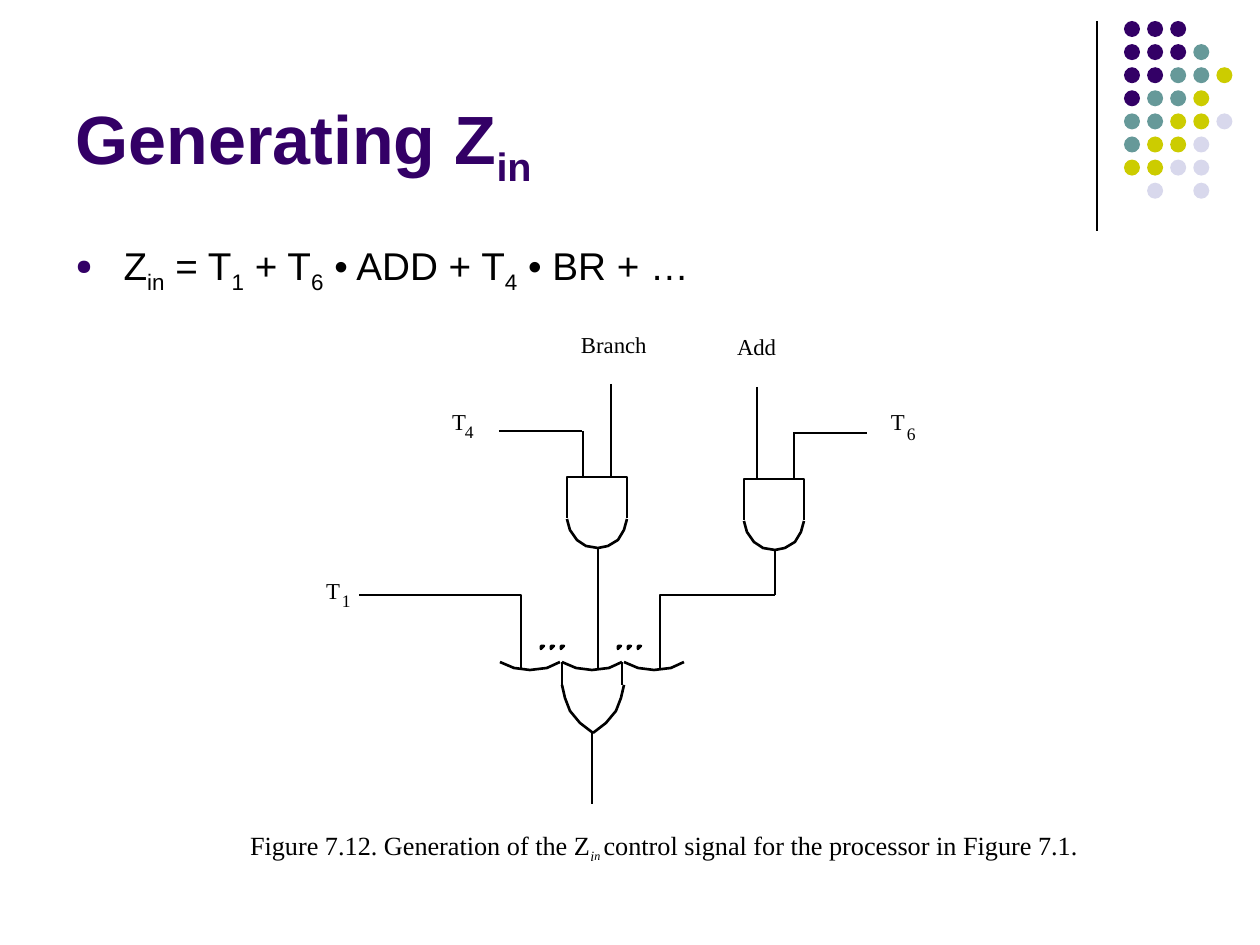
import pptx
import pptx.util
import pptx.dml.color
import pptx.enum.shapes
import pptx.enum.text
import pptx.oxml.ns
from lxml import etree

PX = 914400 // 126
COLORS = {"purple": "330066", "teal": "669999", "olive": "CCCC00",
          "lilac": "D8D8EC", "black": "000000"}

# Content: a run is (text, overrides)
SUB = {"base": -25}
TITLE = [("Generating Z", {}), ("in", SUB)]
FORMULA = [("Z", {}), ("in", SUB), (" = T", {}), ("1", SUB), (" + T", {}),
           ("6", SUB), (" • ADD + T", {}), ("4", SUB), (" • BR + …", {})]
CAPTION = [("Figure 7.12. Generation of the Z", {}),
           ("i", {"base": -25, "size": 14, "italic": True}),
           ("n ", {"base": -25, "size": 12, "italic": True}),
           ("control signal for the processor in Figure 7.1.", {})]
LABEL_SLACK = 6
LABELS = [  # text, left, top, width, height, size
    ("Branch", 581, 331, 66, 28, 13), ("Add", 737, 333, 39, 28, 13),
    ("T", 452, 408, 14, 28, 13), ("4", 465, 421, 9, 21, 10),
    ("T", 891, 408, 14, 28, 13), ("6", 907, 423, 9, 21, 10),
    ("T", 326, 577, 14, 28, 13), ("1", 342, 590, 9, 21, 10)]

# Corner dots, one letter a dot
DOT_ROWS = ["ppp", "pppt", "pptto", "ptto", "ttool", "tool", "ooll", " l l"]
DOT_COLORS = {"p": "purple", "t": "teal", "o": "olive", "l": "lilac"}
DOT_LEFT, DOT_TOP, DOT_PITCH, DOT_SIZE = 1124, 21, 23.1, 16

# Circuit
WIRES = [
    [(611, 384), (611, 477)], [(499, 431), (582, 431)], [(583, 431), (583, 477)],
    [(757, 387), (757, 480)], [(794, 480), (794, 433)], [(867, 433), (793, 433)],
    [(598, 670), (598, 549)], [(775, 595), (775, 549)],
    [(660, 670), (660, 595), (775, 595)], [(521, 670), (521, 595), (359, 595)],
    [(562, 662), (562, 685)], [(622, 662), (622, 685)], [(592, 804), (592, 733)]]
AND_GATES = [(567, 477), (744, 479)]
AND_BODY = [(0, 41), (0, 0), (60, 0), (60, 41)]
AND_ARC = [(0, 42), (3, 53), (10, 63), (19, 69), (31, 71), (41, 69),
           (51, 63), (57, 53), (60, 42)]
OR_CENTER = (593, 733)
OR_SIDE = [(31, -48), (28, -35), (23, -22), (13, -10), (0, 0)]
SCALLOPS = [(500, 662), (562, 662), (624, 662)]
SCALLOP = [(0, 0), (14, 6), (30, 8), (47, 6), (60, 0)]
ELLIPSES = [(541, 646), (618, 646)]
ELLIPSIS_DOT = [(0, 0), (0, 3), (3, 0), (0, 0)]

prs = pptx.Presentation()
prs.slide_width = pptx.util.Inches(10)
prs.slide_height = pptx.util.Inches(7.5)
s = prs.slides.add_slide(prs.slide_layouts[6])


def px(*values):
    return [round(v * PX) for v in values]


def rgb(name):
    return pptx.dml.color.RGBColor.from_string(COLORS[name])


def add_text(runs, box, size, font, color="black", bold=False, inset=(0, 0),
             anchor="TOP"):
    sp = s.shapes.add_textbox(*px(*box))
    tf = sp.text_frame
    tf.word_wrap = True
    tf.vertical_anchor = getattr(pptx.enum.text.MSO_ANCHOR, anchor)
    tf.margin_left, tf.margin_top = px(*inset)
    tf.margin_right, tf.margin_bottom = px(*inset)
    p = tf.paragraphs[0]
    for text, own in runs:
        r = p.add_run()
        r.text = text
        r.font.name = font
        r.font.size = pptx.util.Pt(own.get("size", size))
        r.font.bold = bold
        r.font.italic = own.get("italic", False)
        r.font.color.rgb = rgb(color)
        if "base" in own:
            r._r.get_or_add_rPr().set("baseline", str(own["base"] * 1000))
    return p


def add_bullet(p, char, color, percent, indent):
    pPr = p._p.get_or_add_pPr()
    pPr.set("marL", str(indent))
    pPr.set("indent", str(-indent))
    qn = pptx.oxml.ns.qn
    clr = etree.SubElement(pPr, qn("a:buClr"))
    etree.SubElement(clr, qn("a:srgbClr")).set("val", COLORS[color])
    etree.SubElement(pPr, qn("a:buSzPct")).set("val", str(percent * 1000))
    etree.SubElement(pPr, qn("a:buChar")).set("char", char)


def add_line(points, origin=(0, 0), width=1.5):
    pts = [(x + origin[0], y + origin[1]) for x, y in points]
    if len(pts) == 2:
        sp = s.shapes.add_connector(pptx.enum.shapes.MSO_CONNECTOR.STRAIGHT,
                                    *px(*pts[0], *pts[1]))
        etree.SubElement(sp._element.spPr, pptx.oxml.ns.qn("a:effectLst"))
    else:
        fb = s.shapes.build_freeform(*pts[0], scale=PX)
        fb.add_line_segments(pts[1:], close=False)
        sp = fb.convert_to_shape()
        sp.fill.background()
        sp.shadow.inherit = False
    sp.line.color.rgb = rgb("black")
    sp.line.width = pptx.util.Pt(width)


# Corner decoration
add_line([(1097, 21), (1097, 231)], width=0.74)
for row, letters in enumerate(DOT_ROWS):
    for col, letter in enumerate(letters):
        if letter == " ":
            continue
        dot = s.shapes.add_shape(
            pptx.enum.shapes.MSO_SHAPE.OVAL,
            *px(DOT_LEFT + col * DOT_PITCH, DOT_TOP + row * DOT_PITCH,
                DOT_SIZE, DOT_SIZE))
        dot.shadow.inherit = False
        dot.fill.solid()
        dot.fill.fore_color.rgb = rgb(DOT_COLORS[letter])
        dot.line.fill.background()

# Title, formula and caption
add_text(TITLE, (63, 17, 1040, 179), 39, "Arial", color="purple", bold=True,
         inset=(12.6, 6.3), anchor="BOTTOM")
p = add_text(FORMULA, (63, 236, 1134, 68), 22.1, "Arial", inset=(12.6, 6.3))
p.space_before = pptx.util.Pt(6.5)
add_bullet(p, "●", "purple", 55, px(48)[0])
add_text(CAPTION, (250, 829, 840, 67), 15, "Times New Roman")

# Gates
for corner in AND_GATES:
    add_line(AND_BODY, corner)
    add_line(AND_ARC, corner)
for side in (-1, 1):
    add_line([(side * x, y) for x, y in OR_SIDE], OR_CENTER)
for start in SCALLOPS:
    add_line(SCALLOP, start)

# Wires, ellipses and signal names
for wire in WIRES:
    add_line(wire)
for x, y in ELLIPSES:
    for i in range(3):
        add_line(ELLIPSIS_DOT, (x + 10 * i, y))
for text, x, y, w, h, size in LABELS:
    add_text([(text, {})], (x, y, w + LABEL_SLACK, h), size, "Times New Roman")

prs.save("out.pptx")
